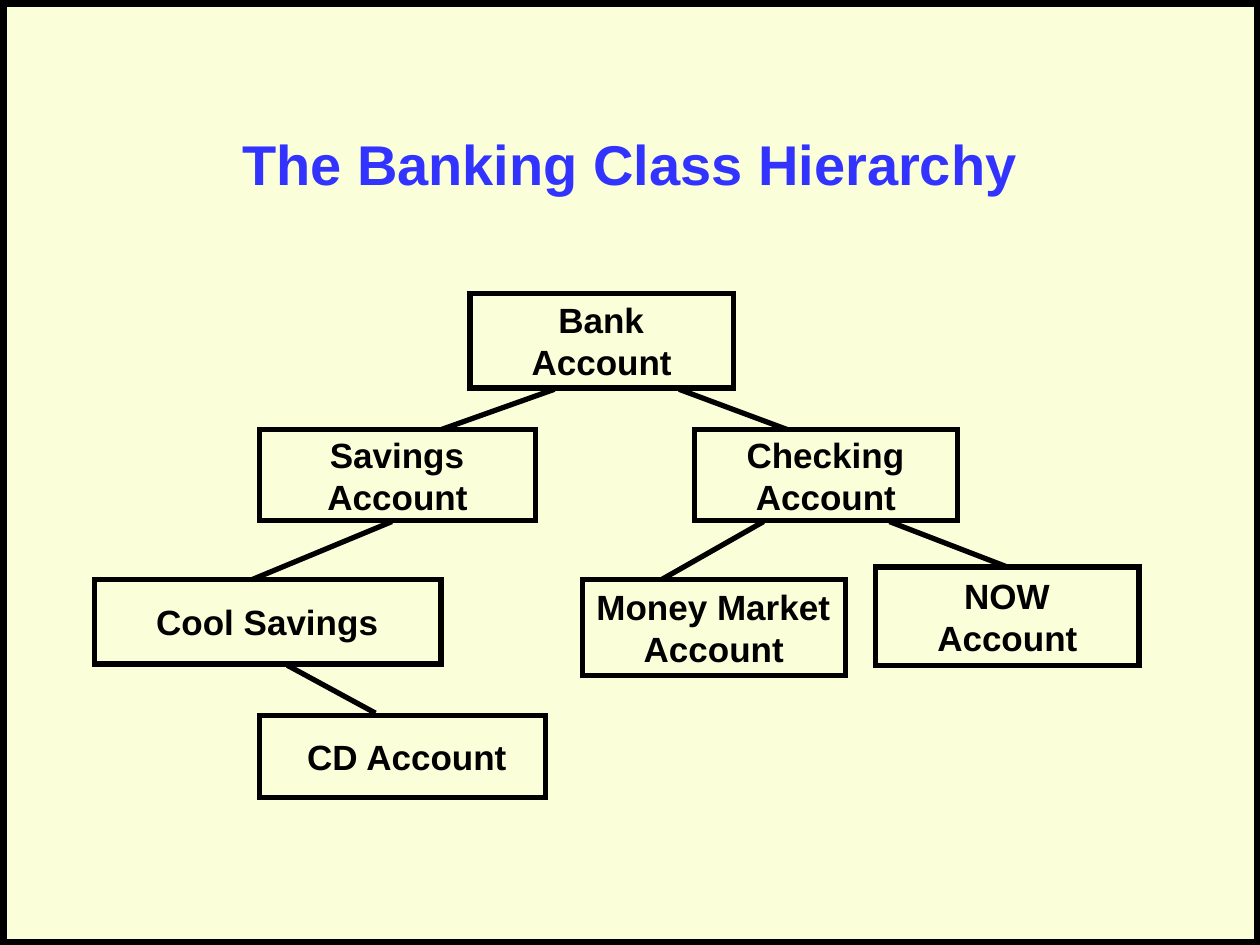
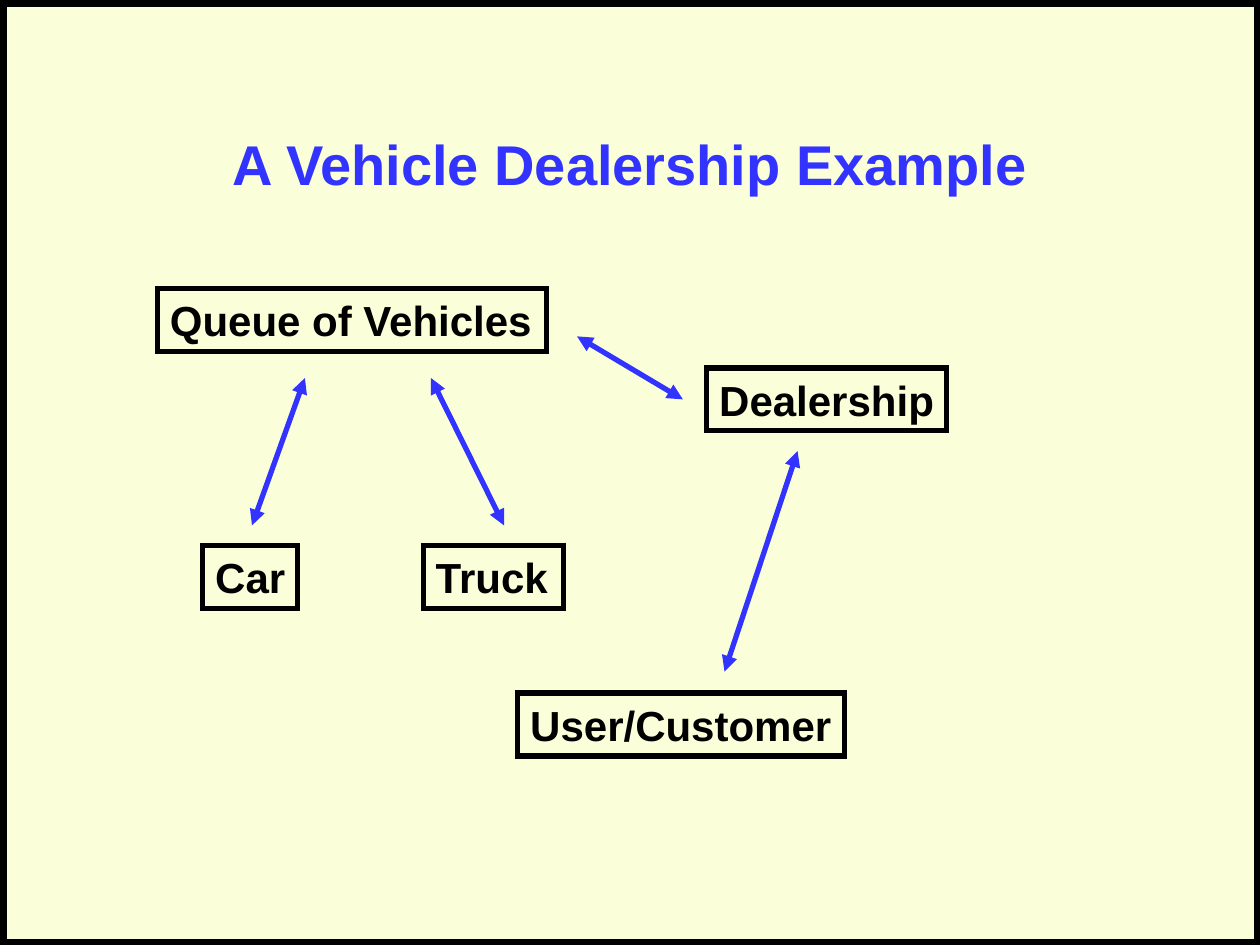
import lxml.etree
import pptx
import pptx.dml.color
import pptx.enum.shapes
import pptx.enum.text
import pptx.oxml.ns
import pptx.util

Inches = pptx.util.Inches
Pt = pptx.util.Pt
ALIGN = pptx.enum.text.PP_ALIGN
ANCHOR = pptx.enum.text.MSO_ANCHOR
AUTO = pptx.enum.text.MSO_AUTO_SIZE
qn = pptx.oxml.ns.qn

CREAM, BLACK, BLUE = "FAFFD9", "000000", "3333FF"
TITLE_FONT = {"name": "Arial", "size": Pt(32), "bold": True}
CLASS_FONT = {"name": "Arial", "size": Pt(20), "bold": True}
SPACE_FONT = {"name": "Arial", "size": Pt(18)}
OBJECT_FONT = {"name": "Arial", "size": Pt(24), "bold": True}
CENTRED = {"word_wrap": False, "vertical_anchor": ANCHOR.MIDDLE}
FITTED = {"word_wrap": False, "vertical_anchor": ANCHOR.TOP,
          "auto_size": AUTO.NONE, "margin_right": 0}

CLASSES = {
    "cool": ("Cool Savings ", 0.75, 4.6, 2.75, 0.67),
    "bank": ("Bank \nAccount", 3.73, 2.33, 2.09, 0.75),
    "savings": ("Savings \nAccount", 2.06, 3.41, 2.19, 0.72),
    "checking": ("Checking \nAccount", 5.51, 3.41, 2.09, 0.72),
    "now": ("NOW \nAccount", 6.95, 4.5, 2.09, 0.78),
    "money": ("Money Market \nAccount", 4.62, 4.6, 2.09, 0.76),
    "cd": ("CD Account", 2.06, 5.68, 2.27, 0.65),
}
BRANCHES = [
    (4.4, 3.09, 3.5, 3.41),
    (5.39, 3.09, 6.25, 3.41),
    (3.11, 4.14, 2, 4.6),
    (2.28, 5.28, 2.98, 5.66),
    (6.06, 4.14, 5.25, 4.6),
]
NOW_BRANCH = (7.06, 4.14, 8, 4.5)
OBJECTS = [
    ("Queue of Vehicles", 1.25, 2.29, 3.09),
    ("Car", 1.61, 4.33, 0.75),
    ("Truck", 3.36, 4.33, 1.11),
    ("Dealership", 5.61, 2.92, 1.9),
    ("User/Customer", 4.11, 5.5, 2.59),
]
OBJECT_HEIGHT = 0.5
LINKS = [
    (2, 4.17, 2.42, 3),
    (4, 4.17, 3.42, 3),
    (5.42, 3.17, 4.58, 2.67),
    (5.75, 5.33, 6.33, 3.58),
]


def rgb(color):
    return pptx.dml.color.RGBColor.from_string(color)


def apply(target, values):
    for name, value in values.items():
        setattr(target, name, value)


def set_line(sp, color, width):
    sp.line.color.rgb = rgb(color)
    sp.line.width = Pt(width)
    return sp.element.spPr.find(qn("a:ln"))


def add_run(p, text, font, color=BLACK):
    for i, part in enumerate(text.split("\n")):
        if i:
            p.add_line_break()
        r = p.add_run()
        r.text = part
        apply(r.font, font)
        r.font.color.rgb = rgb(color)


def add_box(s, x, y, w, h, width=3):
    sp = s.shapes.add_shape(pptx.enum.shapes.MSO_SHAPE.RECTANGLE,
                            Inches(x), Inches(y), Inches(w), Inches(h))
    sp.shadow.inherit = False
    sp.fill.background()
    ln = set_line(sp, BLACK, width)
    lxml.etree.SubElement(ln, qn("a:miter"), lim="800000")
    return sp


def add_class(s, text, x, y, w, h):
    sp = add_box(s, x, y, w, h)
    apply(sp.text_frame, CENTRED)
    p = sp.text_frame.paragraphs[0]
    p.alignment = ALIGN.CENTER
    add_run(p, " ", SPACE_FONT)
    add_run(p, text, CLASS_FONT)
    return sp


def add_object(s, text, x, y, w):
    sp = add_box(s, x, y, w, OBJECT_HEIGHT)
    apply(sp.text_frame, FITTED)
    p = sp.text_frame.paragraphs[0]
    p.alignment = ALIGN.LEFT
    add_run(p, text, OBJECT_FONT)


def add_line(s, x1, y1, x2, y2, color=BLACK, arrows=False):
    cxn = s.shapes.add_connector(pptx.enum.shapes.MSO_CONNECTOR.STRAIGHT,
                                 Inches(x1), Inches(y1), Inches(x2), Inches(y2))
    ln = set_line(cxn, color, 3)
    lxml.etree.SubElement(cxn.element.spPr, qn("a:effectLst"))
    if arrows:
        for end in ("a:headEnd", "a:tailEnd"):
            lxml.etree.SubElement(ln, qn(end), type="triangle")
    return cxn


def add_slide(prs, title):
    s = prs.slides.add_slide(prs.slide_layouts[5])
    add_box(s, 0.03, 0.03, 9.95, 7.45, 3.75)
    sp = s.shapes.title
    apply(sp, {"left": Inches(0.75), "top": Inches(0.67),
               "width": Inches(8.5), "height": Inches(1.25)})
    tf = sp.text_frame
    apply(tf, {"vertical_anchor": ANCHOR.MIDDLE, "auto_size": AUTO.NONE})
    p = tf.paragraphs[0]
    p.alignment = ALIGN.CENTER
    add_run(p, title, TITLE_FONT, BLUE)
    return s


def add_hierarchy(prs):
    s = add_slide(prs, "The Banking Class Hierarchy")
    boxes = {name: add_class(s, *box) for name, box in CLASSES.items()}
    for branch in BRANCHES:
        add_line(s, *branch)
    add_line(s, *NOW_BRANCH).end_connect(boxes["now"], 0)


def add_dealership(prs):
    s = add_slide(prs, "A Vehicle Dealership Example")
    for box in OBJECTS:
        add_object(s, *box)
    for link in LINKS:
        add_line(s, *link, color=BLUE, arrows=True)


def main():
    prs = pptx.Presentation()
    apply(prs, {"slide_width": Inches(10), "slide_height": Inches(7.5)})
    fill = prs.slide_master.background.fill
    fill.solid()
    fill.fore_color.rgb = rgb(CREAM)
    add_hierarchy(prs)
    add_dealership(prs)
    prs.save("out.pptx")


if __name__ == "__main__":
    main()
